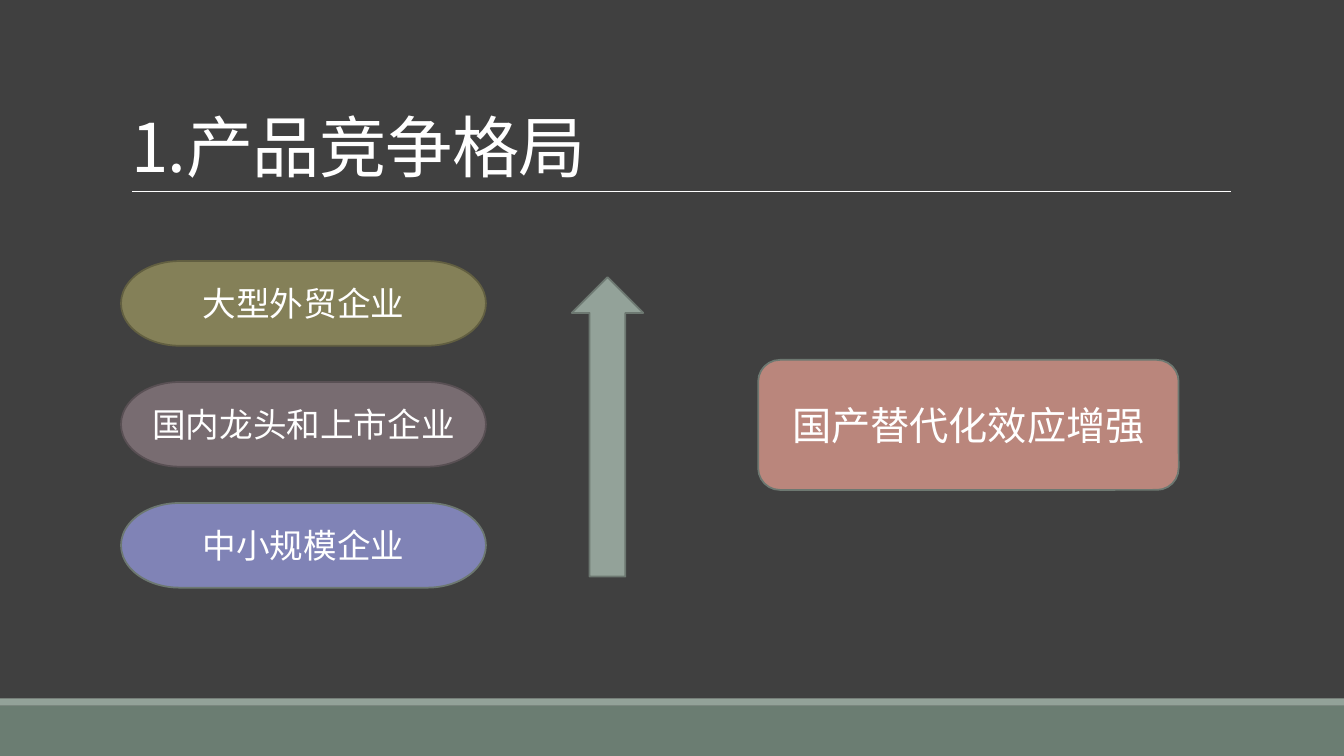
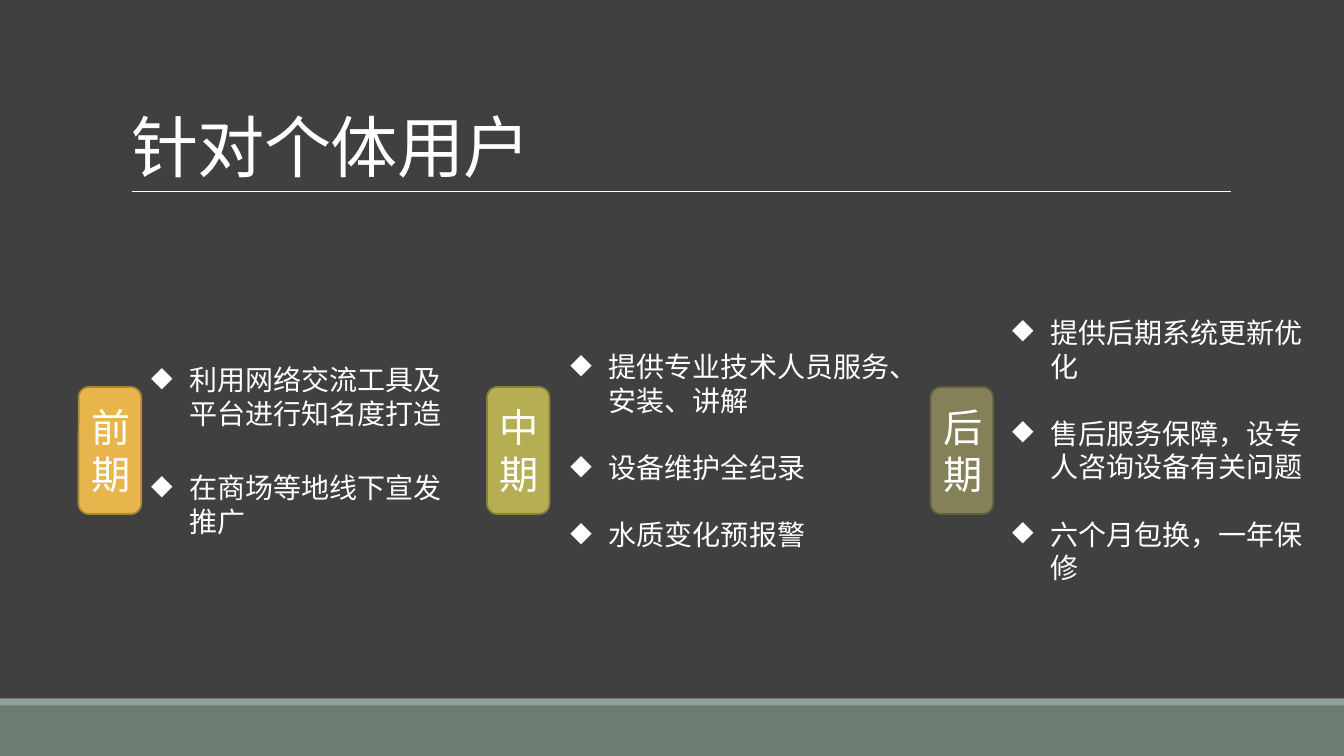
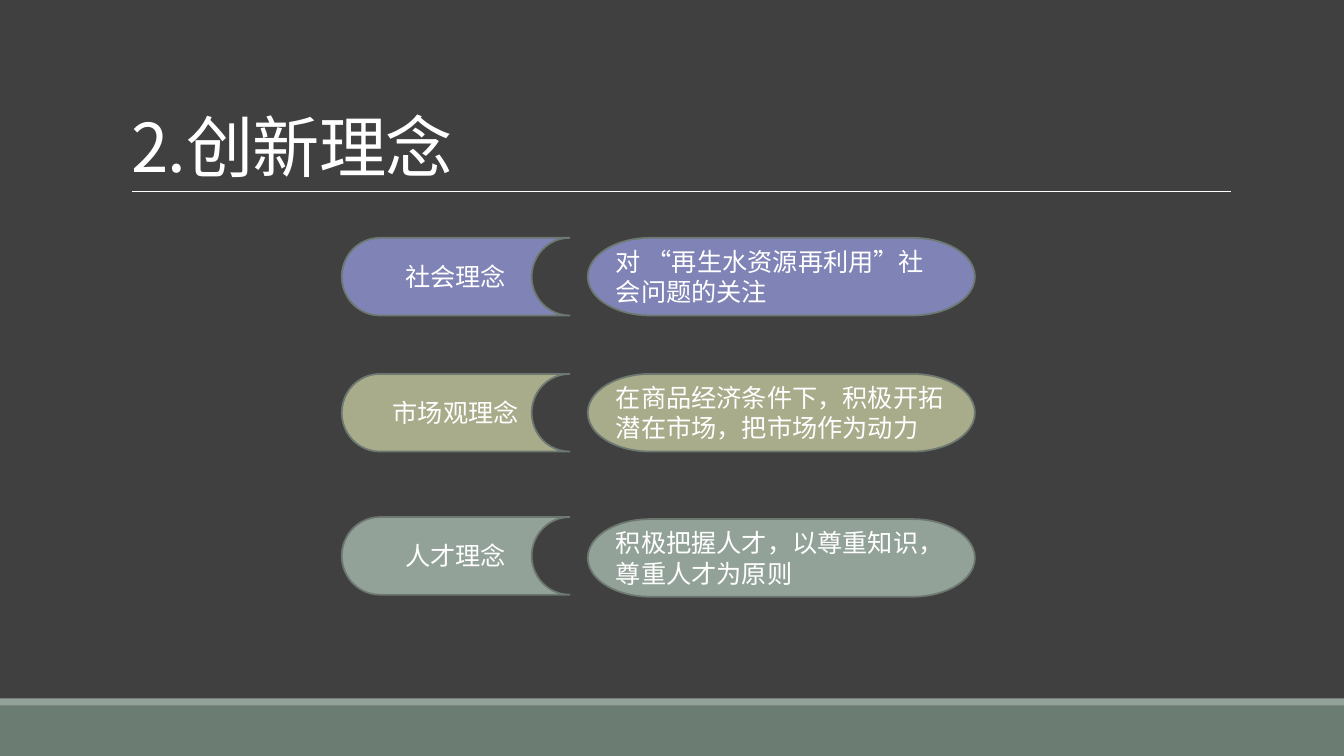
from lxml.etree import SubElement
from pptx import Presentation
from pptx.dml.color import RGBColor
from pptx.enum.shapes import MSO_CONNECTOR, MSO_SHAPE as SHAPE
from pptx.enum.text import MSO_ANCHOR as ANCHOR, MSO_AUTO_SIZE as AUTO, PP_ALIGN as ALIGN
from pptx.oxml.ns import qn
from pptx.util import Inches, Pt

FONT = "Noto Sans CJK SC"
WHITE, DARK, GREEN, SAGE = "FFFFFF", "404040", "6B7D72", "93A299"
OUTLINE, OLIVE, BLUE, KHAKI = "6D7871", "848058", "8083B6", "A9AC8A"
OLIVE_LINE = "625F41"


def rgb(value):
    return RGBColor.from_string(value)


def box(*lengths):
    return [Inches(v) for v in lengths]


def apply(obj, values):
    for name, value in values.items():
        setattr(obj, name, value)


def paint(fill, color):
    fill.solid()
    fill.fore_color.rgb = rgb(color)


def write(p, text, size):
    r = p.add_run()
    r.text = text
    apply(r.font, {"size": Pt(size), "name": FONT})
    r.font.color.rgb = rgb(WHITE)
    rPr = r.font._element
    SubElement(rPr, qn("a:ea")).set("typeface", FONT)
    return rPr


def add_paragraphs(tf, count):
    return [tf.paragraphs[0]] + [tf.add_paragraph() for _ in range(count - 1)]


def add_block(s, kind, at, fill, line=None, lines=(), size=18, align=ALIGN.CENTER):
    sp = s.shapes.add_shape(kind, *box(*at))
    sp.shadow.inherit = False
    paint(sp.fill, fill)
    if line:
        paint(sp.line.fill, line)
        sp.line.width = Pt(1.25)
    else:
        sp.line.fill.background()
    if lines:
        tf = sp.text_frame
        apply(tf, {"word_wrap": True, "vertical_anchor": ANCHOR.MIDDLE})
        for p, text in zip(add_paragraphs(tf, len(lines)), lines):
            p.alignment = align
            write(p, text, size)
    return sp


def add_bullets(s, at, items, gap):
    tf = s.shapes.add_textbox(*box(*at)).text_frame
    apply(tf, {"word_wrap": True, "auto_size": AUTO.SHAPE_TO_FIT_TEXT})
    for i, (p, text) in enumerate(zip(add_paragraphs(tf, len(items)), items)):
        pPr = p._p.get_or_add_pPr()
        pPr.set("marL", str(Inches(0.38)))
        pPr.set("indent", str(Inches(-0.38)))
        SubElement(pPr, qn("a:buChar")).set("char", "◆")
        if i:
            p.space_before = Pt(gap)
        write(p, text, 20)


def add_rule(s, x1, x2, y):
    cn = s.shapes.add_connector(MSO_CONNECTOR.STRAIGHT, *box(x1, y, x2, y))
    paint(cn.line.fill, WHITE)
    cn.line.width = Pt(0.5)
    SubElement(cn.element.spPr, qn("a:effectLst"))
    return cn


def style_template(prs, layout, s):
    paint(prs.slide_master.background.fill, DARK)
    left, top, width, height = box(1.2, 0.31, 11, 1.59)
    apply(layout.placeholders[0], {"left": left, "top": top, "width": width, "height": height})
    shared = [
        add_block(s, SHAPE.RECTANGLE, (0, 7, 13.33, 0.5), GREEN),
        add_block(s, SHAPE.RECTANGLE, (0, 6.93, 13.33, 0.07), SAGE),
        add_rule(s, 1.31, 12.21, 1.9),
    ]
    for sp in shared:
        layout.shapes.element.append(sp.element)


def set_title(s, text):
    tf = s.shapes.title.text_frame
    apply(tf, {"word_wrap": True, "auto_size": AUTO.NONE, "vertical_anchor": ANCHOR.BOTTOM})
    p = tf.paragraphs[0]
    apply(p, {"alignment": ALIGN.LEFT, "line_spacing": 0.85})
    write(p, text, 48).set("spc", "-50")


def build_competition(s):
    set_title(s, "1.产品竞争格局")
    tiers = [
        ("大型外贸企业", OLIVE, OLIVE_LINE),
        ("国内龙头和上市企业", "786C71", "595054"),
        ("中小规模企业", BLUE, OUTLINE),
    ]
    for i, (text, fill, line) in enumerate(tiers):
        at = (1.2, 2.59 + i * 1.2, 3.62, 0.84)
        add_block(s, SHAPE.FLOWCHART_TERMINATOR, at, fill, line, [text], 24)
    add_block(s, SHAPE.UP_ARROW, (5.67, 2.75, 0.71, 2.97), SAGE, OUTLINE)
    add_block(s, SHAPE.FLOWCHART_ALTERNATE_PROCESS, (7.52, 3.57, 4.17, 1.29),
              "BA867C", OUTLINE, ["国产替代化效应增强"], 28)


def build_users(s):
    set_title(s, "针对个体用户")
    phases = [
        ("前期", 0.78, "E8B54D", "AC8639", (1.4, 3.55, 3.31, 1.85), 29,
         ["利用网络交流工具及平台进行知名度打造", "在商场等地线下宣发推广"]),
        ("中期", 4.83, "B5AE53", "86813D", (5.56, 3.42, 3.55, 2.12), 24,
         ["提供专业技术人员服务、安装、讲解", "设备维护全纪录", "水质变化预报警"]),
        ("后期", 9.23, OLIVE, OLIVE_LINE, (9.94, 3.08, 3.17, 2.79), 24,
         ["提供后期系统更新优化", "售后服务保障，设专人咨询设备有关问题", "六个月包换，一年保修"]),
    ]
    for name, x, fill, line, at, gap, items in phases:
        add_block(s, SHAPE.ROUNDED_RECTANGLE, (x, 3.84, 0.62, 1.26), fill, line, name, 28)
        add_bullets(s, at, items, gap)


def build_ideas(s):
    set_title(s, "2.创新理念")
    ideas = [
        ("社会理念", "对 “再生水资源再利用”社会问题的关注", BLUE, 2.36, 2.36),
        ("市场观理念", "在商品经济条件下，积极开拓潜在市场，把市场作为动力", KHAKI, 3.71, 3.71),
        ("人才理念", "积极把握人才，以尊重知识，尊重人才为原则", SAGE, 5.13, 5.15),
    ]
    for name, detail, fill, name_y, detail_y in ideas:
        add_block(s, SHAPE.FLOWCHART_STORED_DATA, (3.39, name_y, 2.26, 0.77),
                  fill, OUTLINE, [name])
        add_block(s, SHAPE.FLOWCHART_TERMINATOR, (5.83, detail_y, 3.84, 0.77),
                  fill, OUTLINE, [detail], align=ALIGN.LEFT)


def main():
    prs = Presentation()
    prs.slide_width, prs.slide_height = box(13.33, 7.5)
    layout = prs.slide_layouts[5]
    slides = [prs.slides.add_slide(layout) for _ in range(3)]
    style_template(prs, layout, slides[0])
    for build, s in zip((build_competition, build_users, build_ideas), slides):
        build(s)
    prs.save("out.pptx")


if __name__ == "__main__":
    main()
